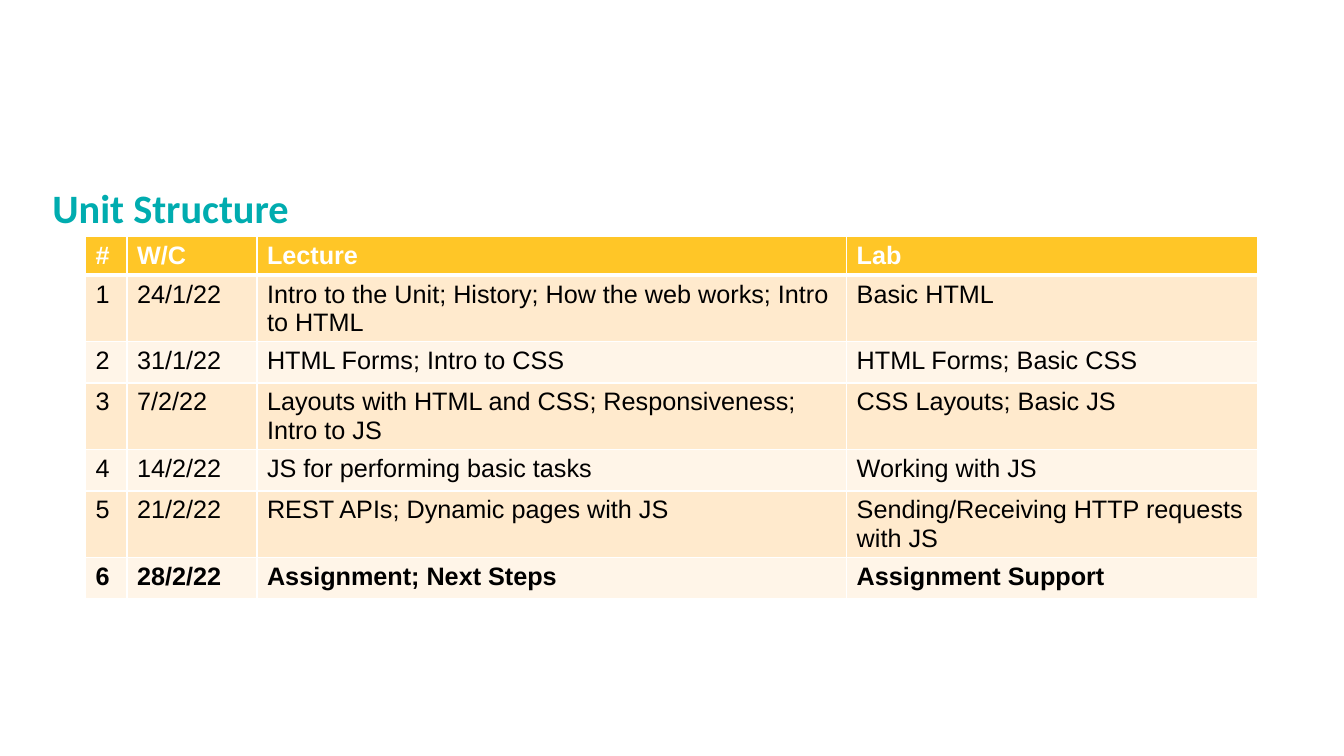
from dataclasses import dataclass

from lxml import etree
from pptx import Presentation
from pptx.dml.color import RGBColor
from pptx.enum.text import MSO_ANCHOR, PP_ALIGN
from pptx.oxml.ns import qn
from pptx.util import Emu, Inches, Pt

LEFT = PP_ALIGN.LEFT
MIDDLE = MSO_ANCHOR.MIDDLE

SLIDE_WIDTH, SLIDE_HEIGHT = Inches(13.33), Inches(7.5)
GRID_COLUMNS, GRID_ROWS = 160, 90

WHITE = RGBColor(0xFF, 0xFF, 0xFF)
BLACK = RGBColor(0x00, 0x00, 0x00)
TEAL = RGBColor(0x00, 0xAC, 0xAF)
AMBER = RGBColor(0xFF, 0xC6, 0x27)
BANDS = (RGBColor(0xFF, 0xEA, 0xCD), RGBColor(0xFF, 0xF5, 0xE8))

COLUMN_WIDTHS = (4.92, 15.48, 70.2, 48.96)
HEADER_HEIGHT, WEEK_HEIGHT = 4.44, 4.92


@dataclass(frozen=True)
class UnitRow:
    number: str
    week: str
    lecture: str
    lab: str
    bold: bool = False

    def texts(self) -> tuple[str, ...]:
        return self.number, self.week, self.lecture, self.lab


HEADER = UnitRow("#", "W/C", "Lecture", "Lab", bold=True)
WEEKS = (
    UnitRow("1", "24/1/22", "Intro to the Unit; History; How the web works; Intro to HTML",
            "Basic HTML"),
    UnitRow("2", "31/1/22", "HTML Forms; Intro to CSS", "HTML Forms; Basic CSS"),
    UnitRow("3", "7/2/22", "Layouts with HTML and CSS; Responsiveness; Intro to JS",
            "CSS Layouts; Basic JS"),
    UnitRow("4", "14/2/22", "JS for performing basic tasks", "Working with JS"),
    UnitRow("5", "21/2/22", "REST APIs; Dynamic pages with JS",
            "Sending/Receiving HTTP requests with JS"),
    UnitRow("6", "28/2/22", "Assignment; Next Steps", "Assignment Support", bold=True),
)


def across(columns: float) -> Emu:
    return Emu(round(SLIDE_WIDTH * columns / GRID_COLUMNS))


def down(rows: float) -> Emu:
    return Emu(round(SLIDE_HEIGHT * rows / GRID_ROWS))


def write_text(text_frame, text: str, *, size: float = 18, font: str = "Arial",
               color: RGBColor = BLACK, bold: bool = False,
               line_spacing: float = 1.0) -> None:
    paragraph = text_frame.paragraphs[0]
    paragraph.alignment = LEFT
    paragraph.line_spacing = line_spacing
    run = paragraph.add_run()
    run.text = text
    run.font.size = Pt(size)
    run.font.name = font
    run.font.bold = bold
    run.font.color.rgb = color


def set_borders(cell, top: float, bottom: float) -> None:
    """Draw white borders, 1 point at the sides; top and bottom are in points."""
    properties = cell._tc.get_or_add_tcPr()
    widths = {"a:lnL": 1, "a:lnR": 1, "a:lnT": top, "a:lnB": bottom}
    for position, (tag, width) in enumerate(widths.items()):
        line = etree.Element(qn(tag), w=str(Pt(width)))
        fill = etree.SubElement(line, qn("a:solidFill"))
        etree.SubElement(fill, qn("a:srgbClr"), val=str(WHITE))
        properties.insert(position, line)


def add_title(slide, text: str) -> None:
    title = slide.shapes.title
    title.left, title.top = across(5.04), down(21.72)
    title.width, title.height = across(138), down(6.6)
    title.text_frame.word_wrap = True
    title.text_frame.vertical_anchor = MIDDLE
    write_text(title.text_frame, text, size=28.8, font="Calibri", color=TEAL,
               bold=True, line_spacing=0.9)


def add_schedule(slide) -> None:
    rows = (HEADER, *WEEKS)
    heights = (HEADER_HEIGHT, *[WEEK_HEIGHT] * len(WEEKS))
    table = slide.shapes.add_table(
        len(rows), len(COLUMN_WIDTHS), across(10.2), down(28.2),
        across(sum(COLUMN_WIDTHS)), down(sum(heights))).table
    table.horz_banding = False
    for column, width in zip(table.columns, COLUMN_WIDTHS):
        column.width = across(width)
    for index, (unit_row, height) in enumerate(zip(rows, heights)):
        table.rows[index].height = down(height)
        is_header = index == 0
        for cell, text in zip(table.rows[index].cells, unit_row.texts()):
            cell.fill.solid()
            cell.fill.fore_color.rgb = AMBER if is_header else BANDS[(index - 1) % 2]
            set_borders(cell, top=3 if index == 1 else 1, bottom=3 if is_header else 1)
            write_text(cell.text_frame, text, bold=unit_row.bold,
                       color=WHITE if is_header else BLACK)


def main() -> None:
    presentation = Presentation()
    presentation.slide_width, presentation.slide_height = SLIDE_WIDTH, SLIDE_HEIGHT
    slide = presentation.slides.add_slide(presentation.slide_layouts.get_by_name("Title Only"))
    add_title(slide, "Unit Structure")
    add_schedule(slide)
    presentation.save("out.pptx")


if __name__ == "__main__":
    main()
